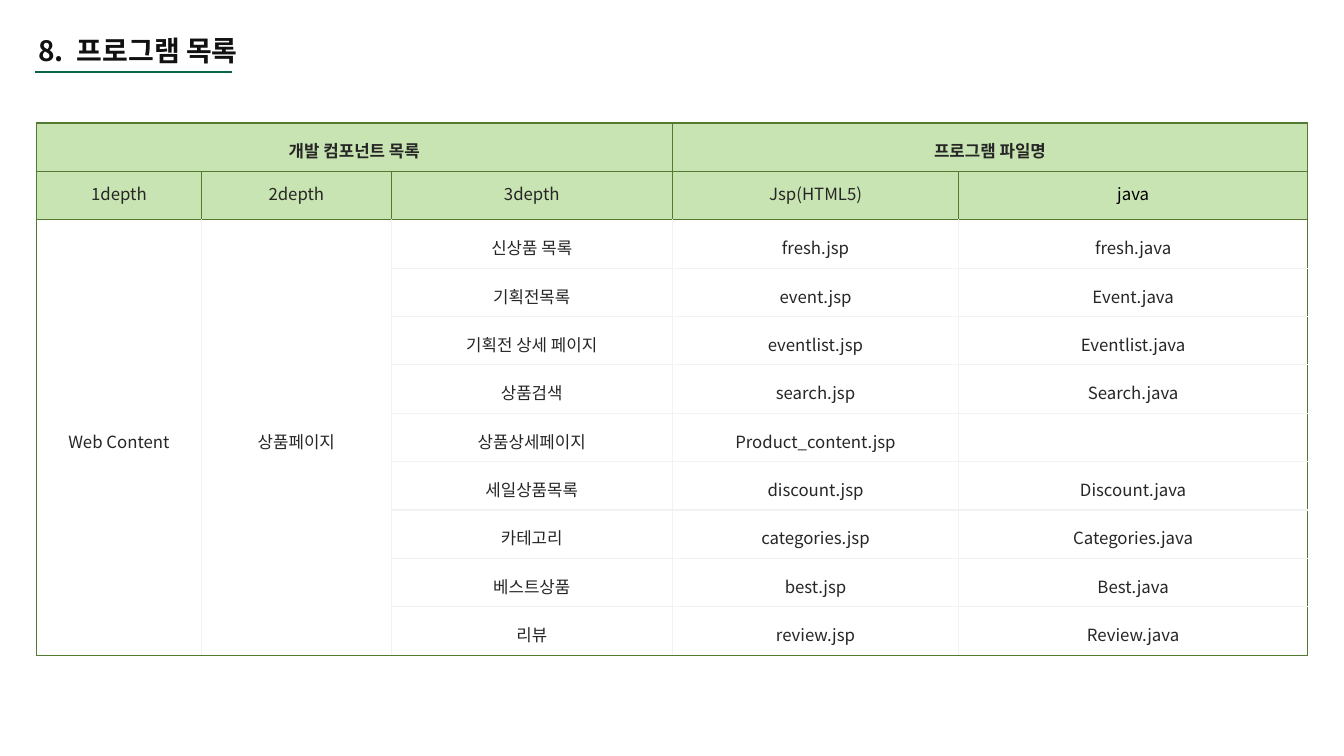
from lxml.etree import SubElement
from pptx import Presentation
from pptx.dml.color import RGBColor
from pptx.enum.shapes import MSO_CONNECTOR
from pptx.enum.text import MSO_ANCHOR, MSO_AUTO_SIZE, PP_ALIGN
from pptx.oxml.ns import qn
from pptx.util import Emu, Pt

PX = 9144
FONT = "Noto Sans CJK KR"
COLORS = {
    "title": "111111",
    "rule": "086448",
    "text": "262626",
    "black": "000000",
    "header": "C8E4B2",
    "body": "FFFFFF",
    "frame": "547A31",
    "grid": "F2F2F2",
}
COLUMN_WIDTHS = [164, 188, 279, 284, 346]
ROW_HEIGHT = 48
HEADER_ROWS = 2
ROWS = [
    ["개발 컴포넌트 목록", "", "", "프로그램 파일명", ""],
    ["1depth", "2depth", "3depth", "Jsp(HTML5)", "java"],
    ["Web Content", "상품페이지", "신상품 목록", "fresh.jsp", "fresh.java"],
    ["", "", "기획전목록", "event.jsp", "Event.java"],
    ["", "", "기획전 상세 페이지", "eventlist.jsp", "Eventlist.java"],
    ["", "", "상품검색", "search.jsp", "Search.java"],
    ["", "", "상품상세페이지", "Product_content.jsp", ""],
    ["", "", "세일상품목록", "discount.jsp", "Discount.java"],
    ["", "", "카테고리", "categories.jsp", "Categories.java"],
    ["", "", "베스트상품", "best.jsp", "Best.java"],
    ["", "", "리뷰", "review.jsp", "Review.java"],
]
LAST_ROW = len(ROWS) - 1
LAST_COLUMN = len(COLUMN_WIDTHS) - 1
MERGES = [
    ((0, 0), (0, 2)),
    ((0, 3), (0, LAST_COLUMN)),
    ((HEADER_ROWS, 0), (LAST_ROW, 0)),
    ((HEADER_ROWS, 1), (LAST_ROW, 1)),
]


def px(length):
    """Turn whole pixels into EMU."""
    return Emu(length * PX)


def rgb(name):
    """Look up a named colour."""
    return RGBColor.from_string(COLORS[name])


def add_span(para, text, size, color, bold=False):
    """Add one formatted run to a paragraph."""
    span = para.add_run()
    span.text = text
    span.font.size = Pt(size)
    span.font.bold = bold
    span.font.color.rgb = rgb(color)
    span.font.name = FONT
    SubElement(span.font._element, qn("a:ea"), typeface=FONT)
    return span


def add_title(page, left, top, width, height):
    """Place the heading and the rule below it."""
    box = page.shapes.title
    box.left, box.top, box.width, box.height = map(px, (left, top, width, height))
    frame = box.text_frame
    frame.word_wrap = True
    frame.auto_size = MSO_AUTO_SIZE.SHAPE_TO_FIT_TEXT
    frame.vertical_anchor = MSO_ANCHOR.TOP
    para = frame.paragraphs[0]
    para.alignment = PP_ALIGN.LEFT
    add_span(para, "8.", 20, "title", True)
    gap = add_span(para, " ", 20, "title", True)
    gap.font._element.set("spc", "450")
    add_span(para, "프로그램 목록", 20, "title", True)

    line_top = px(top + 43)
    rule = page.shapes.add_connector(
        MSO_CONNECTOR.STRAIGHT, px(left + 7), line_top, px(left + 202), line_top
    )
    rule.line.color.rgb = rgb("rule")
    rule.line.width = Pt(1.5)
    SubElement(rule._element.spPr, qn("a:effectLst"))


def set_borders(cell, row, column):
    """Draw green lines around the header and frame, grey lines inside."""
    header = row < HEADER_ROWS
    bottom_row = row + cell.span_height - 1 if cell.is_merge_origin else row
    framed = {
        "a:lnL": header or column == 0,
        "a:lnR": header or column == LAST_COLUMN,
        "a:lnT": row <= HEADER_ROWS,
        "a:lnB": header or bottom_row == LAST_ROW,
    }
    properties = cell._tc.get_or_add_tcPr()
    for tag, green in framed.items():
        line = SubElement(properties, qn(tag), w=str(Pt(1)))
        fill = SubElement(line, qn("a:solidFill"))
        SubElement(fill, qn("a:srgbClr"), val=COLORS["frame" if green else "grid"])


def fill_cell(cell, row, column, text):
    """Format one table cell and write its text."""
    header = row < HEADER_ROWS
    cell.vertical_anchor = MSO_ANCHOR.MIDDLE
    cell.margin_left = cell.margin_right = px(10)
    cell.margin_top = px(0 if row == 1 else 12)
    cell.margin_bottom = px(5)
    set_borders(cell, row, column)
    if column == LAST_COLUMN and not header:
        cell.fill.background()
    else:
        cell.fill.solid()
        cell.fill.fore_color.rgb = rgb("header" if header else "body")
    para = cell.text_frame.paragraphs[0]
    para.alignment = PP_ALIGN.CENTER
    if text:
        add_span(para, text, 12, "black" if text == "java" else "text", row == 0)
    else:
        SubElement(para._p, qn("a:endParaRPr"), sz="1200")


def add_program_table(page, left, top):
    """Build the table of components and program files."""
    box = page.shapes.add_table(
        len(ROWS), len(COLUMN_WIDTHS), px(left), px(top),
        px(sum(COLUMN_WIDTHS)), px(ROW_HEIGHT * len(ROWS)),
    )
    table = box.table
    table.first_row = table.horz_banding = False
    for column, width in zip(table.columns, COLUMN_WIDTHS):
        column.width = px(width)
    for row in table.rows:
        row.height = px(ROW_HEIGHT)
    for first, last in MERGES:
        table.cell(*first).merge(table.cell(*last))
    for row, texts in enumerate(ROWS):
        for column, text in enumerate(texts):
            fill_cell(table.cell(row, column), row, column, text)


def main():
    """Build and save the program list slide."""
    deck = Presentation()
    deck.slide_width, deck.slide_height = px(1333), px(750)
    page = deck.slides.add_slide(deck.slide_layouts[5])
    add_program_table(page, 36, 122)
    add_title(page, 28, 28, 228, 44)
    deck.save("out.pptx")


if __name__ == "__main__":
    main()
